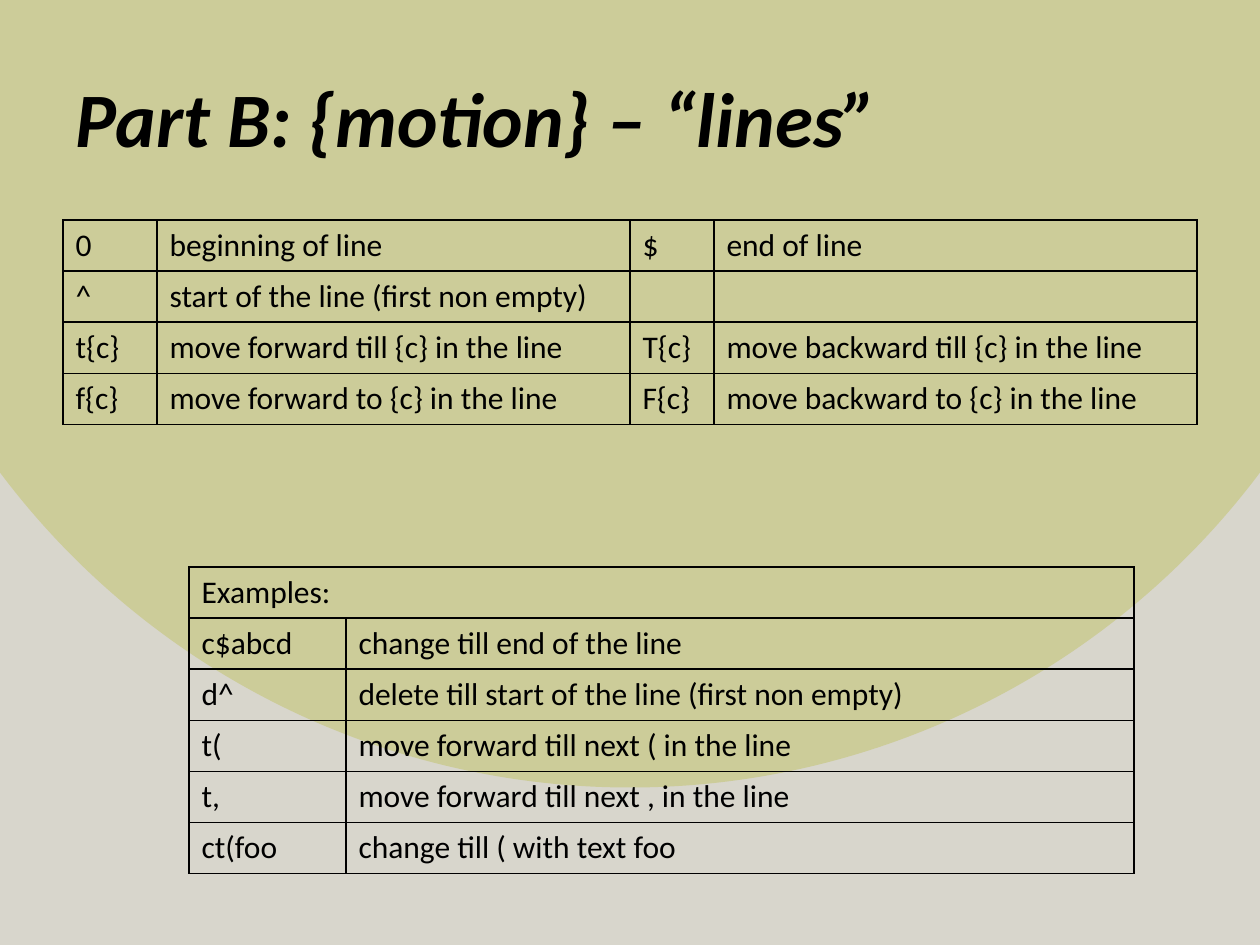
from lxml.etree import SubElement
from pptx import Presentation
from pptx.dml.color import RGBColor
from pptx.enum.text import MSO_ANCHOR, PP_ALIGN
from pptx.oxml import parse_xml
from pptx.oxml.ns import nsdecls, qn
from pptx.util import Emu, Pt

TITLE = "Part B: {motion} – “lines”"
MOVES = [
    ("0", "beginning of line", "$", "end of line"),
    ("^", "start of the line (first non empty)", "", ""),
    ("t{c}", "move forward till {c} in the line",
     "T{c}", "move backward till {c} in the line"),
    ("f{c}", "move forward to {c} in the line",
     "F{c}", "move backward to {c} in the line"),
]
SAMPLES = [
    ("Examples:", ""),
    ("c$abcd", "change till end of the line"),
    ("d^", "delete till start of the line (first non empty)"),
    ("t(", "move forward till next ( in the line"),
    ("t,", "move forward till next , in the line"),
    ("ct(foo", "change till ( with text foo"),
]
TABLES = [
    (63, 220, (94, 473, 84, 483), MOVES),
    (189, 567, (157, 788), SAMPLES),
]
ROW = 51
FONT = "Calibri"
BLACK = RGBColor(0, 0, 0)
OLIVE = RGBColor(0xCC, 0xCC, 0x99)
STONE = RGBColor(0xD8, 0xD6, 0xCC)


def px(n):
    return Emu(round(n * 914400 / 126))


def style(para, size, bold=None):
    font = para.font
    font.name, font.size = FONT, Pt(size)
    font.bold = font.italic = bold
    font.color.rgb = BLACK


def border(cell):
    props = cell._tc.get_or_add_tcPr()
    for spot, side in enumerate(("a:lnL", "a:lnR", "a:lnT", "a:lnB")):
        line = props.makeelement(qn(side), {"w": str(Pt(1))})
        fill = SubElement(line, qn("a:solidFill"))
        SubElement(fill, qn("a:srgbClr"), val=str(BLACK))
        props.insert(spot, line)


def backdrop(slide):
    stops = "".join(
        f'<a:gs pos="100000"><a:srgbClr val="{tone}"/></a:gs>'
        for tone in (OLIVE, STONE))
    slide._element.cSld.insert(0, parse_xml(
        f'<p:bg {nsdecls("p", "a")}><p:bgPr><a:gradFill rotWithShape="1">'
        f'<a:gsLst>{stops}</a:gsLst><a:path path="circle">'
        '<a:fillToRect l="43000" r="43000" b="100000"/></a:path>'
        '</a:gradFill><a:effectLst/></p:bgPr></p:bg>'))


def grid(slide, left, top, widths, rows):
    table = slide.shapes.add_table(
        len(rows), len(widths), px(left), px(top),
        px(sum(widths)), px(ROW * len(rows))).table
    table.first_row = table.horz_banding = False
    for col, width in zip(table.columns, widths):
        col.width = px(width)
    for r, row in enumerate(rows):
        table.rows[r].height = px(ROW)
        for c, text in enumerate(row):
            cell = table.cell(r, c)
            cell.text = text
            cell.fill.background()
            style(cell.text_frame.paragraphs[0], 18)
            border(cell)
    return table


deck = Presentation()
deck.slide_width, deck.slide_height = px(1260), px(945)
slide = deck.slides.add_slide(deck.slide_layouts[5])
backdrop(slide)

title = slide.shapes.title
title.left, title.top, title.width, title.height = map(px, (63, 38, 1134, 158))
title.text = TITLE
title.text_frame.vertical_anchor = MSO_ANCHOR.MIDDLE
head = title.text_frame.paragraphs[0]
head.alignment = PP_ALIGN.LEFT
style(head, 44, True)

moves, samples = [grid(slide, *table) for table in TABLES]
samples.cell(0, 0).merge(samples.cell(0, 1))

deck.save("out.pptx")
